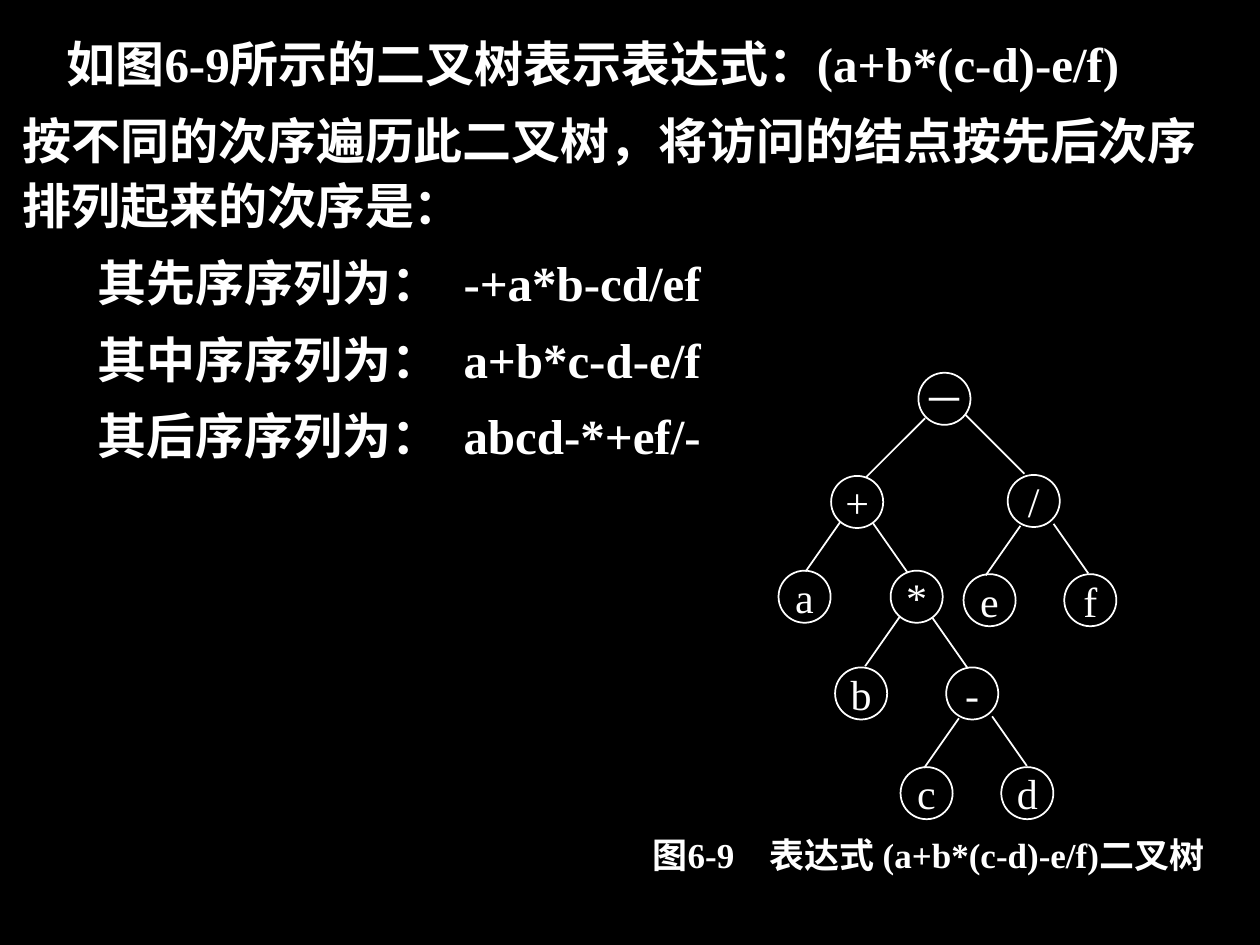
from lxml.etree import SubElement
from pptx import Presentation
from pptx.dml.color import RGBColor
from pptx.enum.shapes import MSO_CONNECTOR, MSO_SHAPE
from pptx.enum.text import MSO_ANCHOR, MSO_AUTO_SIZE, PP_ALIGN
from pptx.oxml.ns import qn
from pptx.util import Cm, Pt

BLACK = RGBColor(0, 0, 0)
WHITE = RGBColor(255, 255, 255)
CHINESE = "Noto Sans CJK SC"
LATIN = "Times New Roman"

# Content: each run is (text, font)
INTRODUCTION = [
    (0.89, [("如图", CHINESE), ("6-9", LATIN), ("所示的二叉树表示表达式：", CHINESE),
            ("(a+b*(c-d)-e/f)", LATIN)]),
    (0, [("按不同的次序遍历此二叉树，将访问的结点按先后次序排列起来的次序是：", CHINESE)]),
]
# Label, sequence, tab stop in cm
SEQUENCES = [
    ("其先序序列为：", "-+a*b-cd/ef", 9.1),
    ("其中序序列为：", "a+b*c-d-e/f", 9.35),
    ("其后序序列为：", "abcd-*+ef/-", 9.35),
]
CAPTION = [("图", CHINESE), ("6-9", LATIN), ("　表达式", CHINESE),
           (" (a+b*(c-d)-e/f)", LATIN), ("二叉树", CHINESE)]

# Tree nodes: name -> (symbol, centre x, centre y) in cm
NODE_SIZE = 1.05
NODES = {
    "root": ("－", 19.04, 8.04),
    "plus": ("+", 17.28, 10.12),
    "divide": ("/", 20.84, 10.1),
    "a": ("a", 16.22, 12.03),
    "times": ("*", 18.48, 12.03),
    "e": ("e", 19.95, 12.1),
    "f": ("f", 21.98, 12.1),
    "b": ("b", 17.36, 13.98),
    "minus": ("-", 19.6, 13.98),
    "c": ("c", 18.68, 15.99),
    "d": ("d", 20.71, 15.99),
}
# Parent -> left start, right start (from its centre), and (run, fall) of both branches
BRANCHES = {
    "root": ((-0.39, 0.39), (0.42, 0.32), (1.19, 1.19)),
    "plus": ((-0.34, 0.4), (0.32, 0.43), (0.7, 1)),
    "divide": ((-0.27, 0.5), (0.4, 0.46), (0.7, 1)),
    "times": ((-0.34, 0.4), (0.32, 0.43), (0.7, 1)),
    "minus": ((-0.27, 0.5), (0.4, 0.46), (0.7, 1)),
}


def format_paragraph(paragraph, runs, size, bold):
    paragraph.font.size = Pt(size)
    paragraph.font.bold = bold
    paragraph.font.color.rgb = WHITE
    for text, font_name in runs:
        run = paragraph.add_run()
        run.text = text
        run.font.name = font_name
        if font_name == CHINESE:
            SubElement(run.font._element, qn("a:ea"), typeface=CHINESE)


def add_body_paragraph(paragraph, runs, indent, tab=None, first=False):
    properties = paragraph._p.get_or_add_pPr()
    properties.set("marL", "0")
    properties.set("indent", str(Cm(indent)))
    SubElement(properties, qn("a:buNone"))
    if tab:
        tabs = SubElement(properties, qn("a:tabLst"))
        SubElement(tabs, qn("a:tab"), pos=str(Cm(tab)), algn="l")
    paragraph.line_spacing = 1.1
    paragraph.space_before = Pt(0 if first else 7)
    format_paragraph(paragraph, runs, 28, True)


def add_branch(slide, start, end):
    line = slide.shapes.add_connector(MSO_CONNECTOR.STRAIGHT, *map(Cm, start + end))
    line.line.color.rgb = WHITE
    line.line.width = Pt(1)
    SubElement(line._element.spPr, qn("a:effectLst"))


def add_node(slide, symbol, x, y):
    node = slide.shapes.add_shape(
        MSO_SHAPE.OVAL, Cm(x - NODE_SIZE / 2), Cm(y - NODE_SIZE / 2),
        Cm(NODE_SIZE), Cm(NODE_SIZE))
    node.shadow.inherit = False
    node.fill.background()
    node.line.color.rgb = WHITE
    node.line.width = Pt(1)
    frame = node.text_frame
    frame.word_wrap = False
    frame.vertical_anchor = MSO_ANCHOR.MIDDLE
    paragraph = frame.paragraphs[0]
    paragraph.alignment = PP_ALIGN.CENTER
    format_paragraph(paragraph, [(symbol, LATIN)], 24, False)


def main():
    presentation = Presentation()
    presentation.slide_width, presentation.slide_height = Cm(25.4), Cm(19.05)
    slide = presentation.slides.add_slide(presentation.slide_layouts[1])
    slide.background.fill.solid()
    slide.background.fill.fore_color.rgb = BLACK
    title = slide.shapes.title._element
    title.getparent().remove(title)

    # Explanation and the three traversal sequences
    body = slide.placeholders[1]
    body.left, body.top, body.width, body.height = Cm(0.2), Cm(0.43), Cm(24.97), Cm(9.07)
    frame = body.text_frame
    frame.auto_size = MSO_AUTO_SIZE.NONE
    frame.word_wrap = True
    frame.vertical_anchor = MSO_ANCHOR.TOP
    rows = [(runs, indent, None) for indent, runs in INTRODUCTION]
    rows += [([(label, CHINESE), ("\t" + sequence, LATIN)], 1.52, tab)
             for label, sequence, tab in SEQUENCES]
    for index, (runs, indent, tab) in enumerate(rows):
        paragraph = frame.add_paragraph() if index else frame.paragraphs[0]
        add_body_paragraph(paragraph, runs, indent, tab, first=index == 0)

    # Expression tree
    for parent, (left, right, (run, fall)) in BRANCHES.items():
        _, x, y = NODES[parent]
        for (offset_x, offset_y), side in ((left, -1), (right, 1)):
            start = (x + offset_x, y + offset_y)
            add_branch(slide, start, (start[0] + side * run, start[1] + fall))
    for node in NODES.values():
        add_node(slide, *node)

    # Caption
    caption = slide.shapes.add_textbox(Cm(12.55), Cm(16.74), Cm(12.34), Cm(0.99))
    caption.text_frame.word_wrap = True
    caption.text_frame.vertical_anchor = MSO_ANCHOR.MIDDLE
    paragraph = caption.text_frame.paragraphs[0]
    paragraph.alignment = PP_ALIGN.CENTER
    format_paragraph(paragraph, CAPTION, 20, True)

    presentation.save("out.pptx")


if __name__ == "__main__":
    main()
